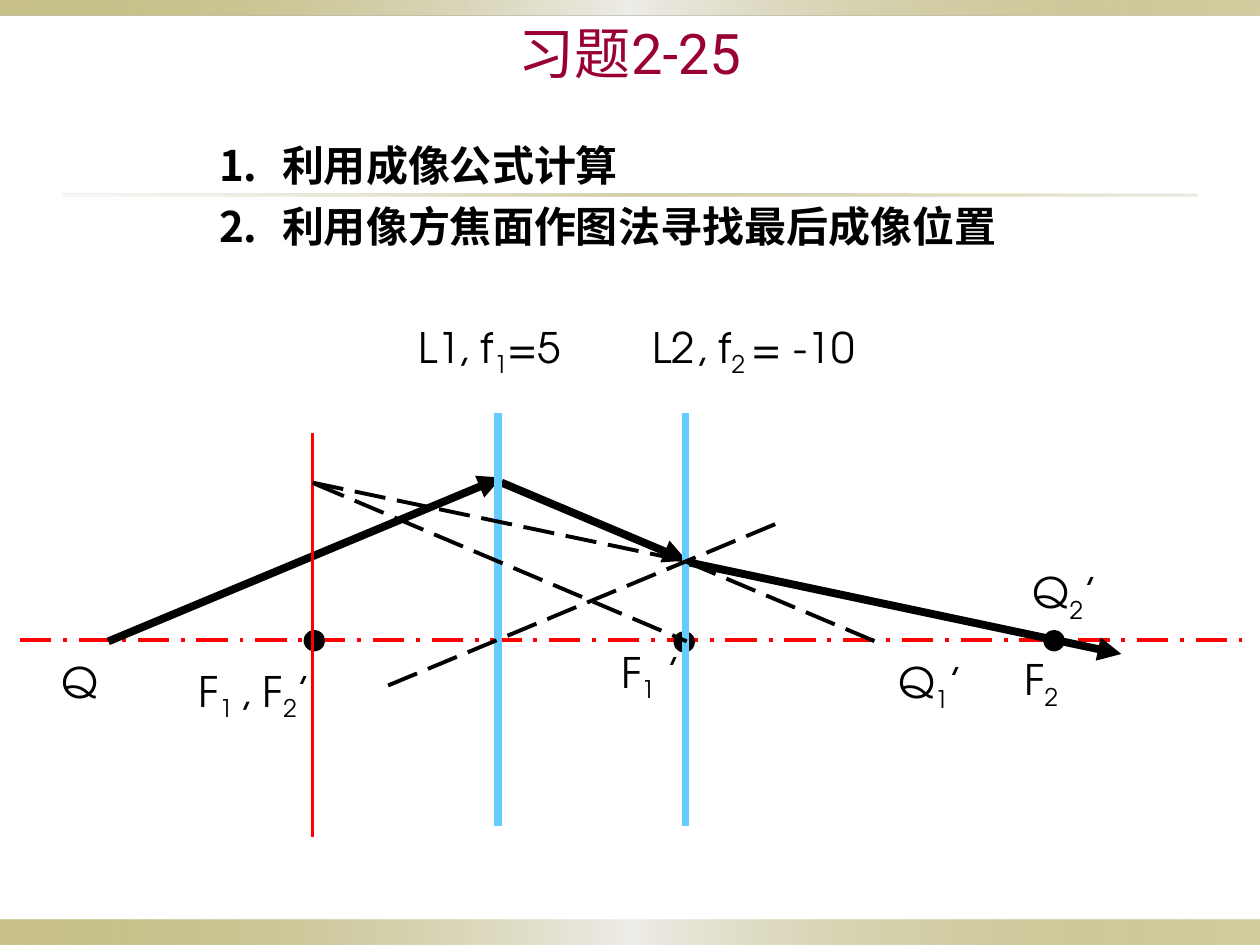
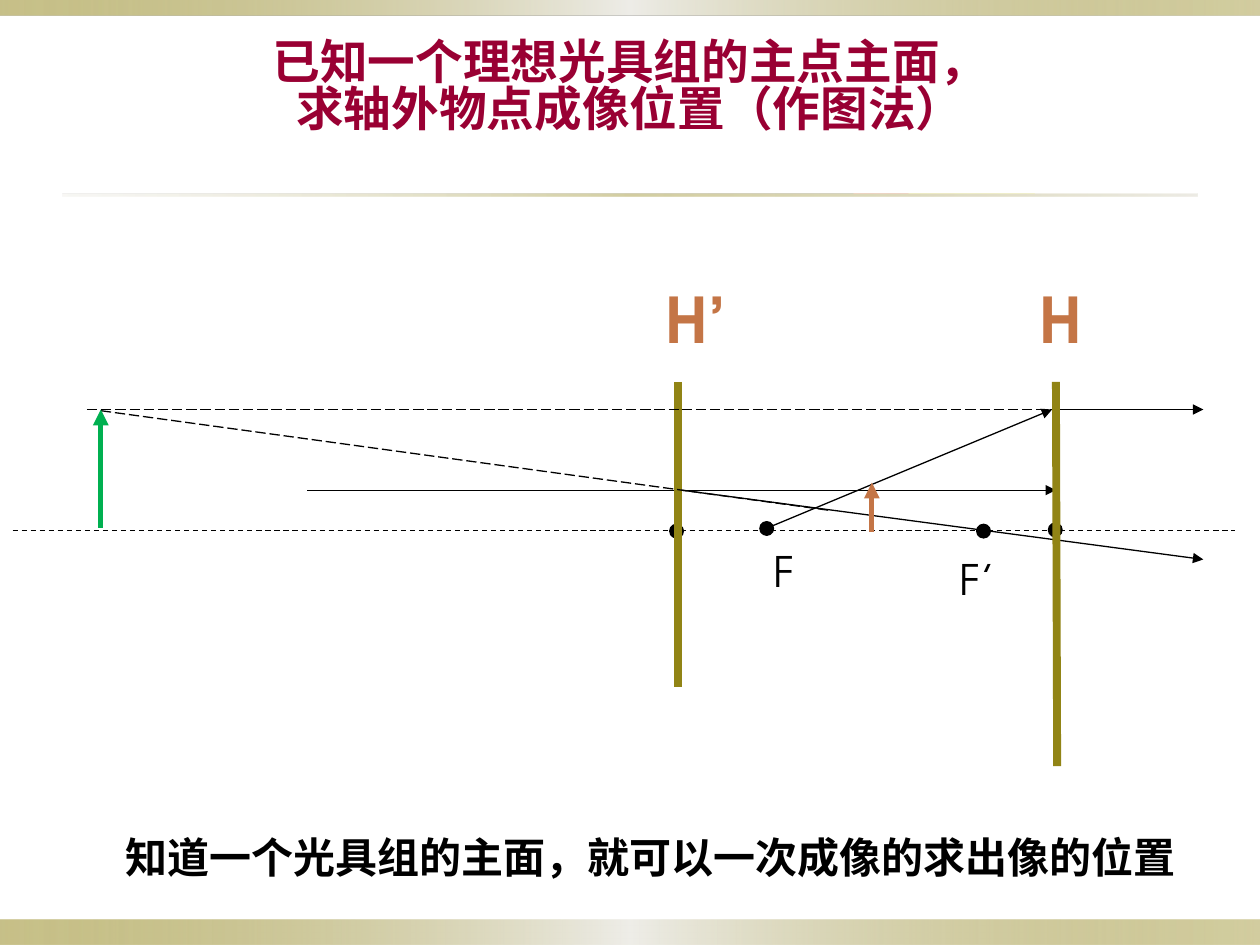
from pptx import Presentation
from pptx.dml.color import RGBColor
from pptx.enum.dml import MSO_LINE
from pptx.enum.shapes import MSO_CONNECTOR, MSO_SHAPE
from pptx.enum.text import MSO_ANCHOR, MSO_AUTO_SIZE, PP_ALIGN
from pptx.oxml.ns import qn
from pptx.util import Pt
from lxml import etree

RECTANGLE, OVAL = MSO_SHAPE.RECTANGLE, MSO_SHAPE.OVAL
STRAIGHT = MSO_CONNECTOR.STRAIGHT
DASH, LONG_DASH, LONG_DASH_DOT = MSO_LINE.DASH, MSO_LINE.LONG_DASH, MSO_LINE.LONG_DASH_DOT
LEFT, CENTER = PP_ALIGN.LEFT, PP_ALIGN.CENTER
TOP, MIDDLE = MSO_ANCHOR.TOP, MSO_ANCHOR.MIDDLE
GROW, FIXED = MSO_AUTO_SIZE.SHAPE_TO_FIT_TEXT, MSO_AUTO_SIZE.NONE

BLACK, RED, CRIMSON = "000000", "FF0000", "990033"
SKY, OLIVE, COPPER, GREEN = "66CCFF", "918415", "C47546", "00B050"
LABEL_FONT, BODY_FONT = "TeX Gyre Adventor", "Arial"
# Gradient stops: position, colour, opacity (all in percent)
BAND = [(0, OLIVE, 50), (50, "EEEDE8", 100), (100, OLIVE, 40)]
RULE = [(0, "DCD9CC", 20), (50, OLIVE, 40), (100, "DCD9CC", 50)]


def color(value):
    return RGBColor.from_string(value)


class Slides:
    """Holds the deck, its common style and the current page."""

    def __init__(self):
        self.deck = Presentation()
        self.deck.slide_width, self.deck.slide_height = Pt(720), Pt(540)
        self.page = None

    def new_page(self):
        self.page = self.deck.slides.add_slide(self.deck.slide_layouts[6])
        self.band(0, 525.6, 720, 14.4, BAND)
        self.band(0, 0, 720, 8.64, BAND)
        self.band(36, 110.9, 648, 1.44, RULE)

    def shape(self, kind, left, top, width, height):
        shape = self.page.shapes.add_shape(kind, Pt(left), Pt(top), Pt(width), Pt(height))
        shape.shadow.inherit = False
        return shape

    def band(self, left, top, width, height, stops):
        band = self.shape(RECTANGLE, left, top, width, height)
        band.line.fill.background()
        band.fill.gradient()
        band.fill.gradient_angle = 0
        stop_list = band._element.spPr.find(qn("a:gradFill")).find(qn("a:gsLst"))
        stop_list.clear()
        for position, value, opacity in stops:
            stop = etree.SubElement(stop_list, qn("a:gs"), pos=str(position * 1000))
            tint = etree.SubElement(stop, qn("a:srgbClr"), val=value)
            etree.SubElement(tint, qn("a:alpha"), val=str(opacity * 1000))

    def dot(self, x, y, outline):
        dot = self.shape(OVAL, x - 3.9, y - 3.9, 7.8, 7.8)
        dot.fill.solid()
        dot.fill.fore_color.rgb = color(BLACK)
        dot.line.color.rgb = color(BLACK)
        dot.line.width = Pt(outline)

    def line(self, x1, y1, x2, y2, value=BLACK, width=0.75, dash=None, arrow=False):
        line = self.page.shapes.add_connector(STRAIGHT, Pt(x1), Pt(y1), Pt(x2), Pt(y2))
        line.line.color.rgb = color(value)
        line.line.width = Pt(width)
        if dash is not None:
            line.line.dash_style = dash
        properties = line._element.spPr
        if arrow:
            etree.SubElement(properties.find(qn("a:ln")), qn("a:tailEnd"), type="triangle")
        etree.SubElement(properties, qn("a:effectLst"))

    def text(self, left, top, width, height, paras, font=BODY_FONT, size=24, value=BLACK,
             bold=True, align=LEFT, anchor=TOP, grow=GROW, spacing=None, numbered=False):
        """Each paragraph is a list of spans; every second span is a subscript."""
        box = self.page.shapes.add_textbox(Pt(left), Pt(top), Pt(width), Pt(height))
        frame = box.text_frame
        frame.word_wrap = True
        frame.auto_size = grow
        frame.vertical_anchor = anchor
        for number, spans in enumerate(paras):
            para = frame.add_paragraph() if number else frame.paragraphs[0]
            para.alignment = align
            if spacing:
                para.line_spacing = spacing
            if numbered:
                para.space_before = Pt(6 if number else 0)
                properties = para._p.get_or_add_pPr()
                properties.set("marL", str(Pt(36)))
                properties.set("indent", str(-Pt(36)))
                etree.SubElement(properties, qn("a:buFont"), typeface="+mj-lt")
                etree.SubElement(properties, qn("a:buAutoNum"), type="arabicPeriod")
            for index, words in enumerate(spans):
                span = para.add_run()
                span.text = words
                span.font.name = font
                span.font.size = Pt(size)
                span.font.bold = bold
                span.font.color.rgb = color(value)
                if index % 2:
                    span._r.get_or_add_rPr().set("baseline", "-25000")

    def title(self, top, lines, **style):
        self.text(0, top, 720, 59.76, [[words] for words in lines], value=CRIMSON,
                  align=CENTER, anchor=MIDDLE, grow=FIXED, **style)

    def label(self, left, top, width, *spans):
        self.text(left, top, width, 36, [spans], font=LABEL_FONT, bold=False)


def two_lens_page(slides):
    slides.new_page()
    slides.title(0, ["习题2-25"], font="Roboto", size=32, bold=False)

    # Optical axis and focal points
    axis = 365.8
    slides.line(11.5, axis, 709.9, axis, RED, 2.25, LONG_DASH_DOT)
    for x, y in ((391, 366.8), (179.6, 366.1), (602.3, 366.1)):
        slides.dot(x, y, 4.5)

    # Rays, focal plane and lenses
    slides.line(388.8, 320.4, 640.8, 373.7, width=4.5, arrow=True)
    slides.line(61.9, 366.5, 286.6, 272.9, width=4.5, arrow=True)
    slides.line(178.6, 247.7, 178.6, 478.1, RED, 2.25)
    slides.line(286.6, 275.8, 392.4, 320.4, width=4.5, arrow=True)
    for lens in (284.4, 391.7):
        slides.line(lens, 236.2, lens, 472.3, SKY, 4.5)

    # Construction lines
    for ends in ((221.8, 391.7, 446.4, 298.1), (392.4, 321.1, 503.3, 367.9),
                 (180, 276.5, 392.4, 366.5), (178.6, 275.8, 391, 320.4)):
        slides.line(*ends, width=2.25, dash=LONG_DASH)

    # Labels
    slides.label(231.8, 180, 145.4, "L1, f", "1", "=5")
    slides.label(365.8, 180, 145.4, "L2, f", "2 ", "= -10")
    slides.label(347.8, 365.8, 51.8, "F", "1", " ’")
    slides.label(106.6, 376.6, 151.9, "F", "1 ", ", F", "2", "’")
    slides.label(578.2, 370.1, 151.9, "F", "2")
    slides.label(28.1, 371.5, 61.9, "Q")
    slides.label(506.2, 371.5, 61.9, "Q", "1", "’")
    slides.label(583.2, 320.4, 61.9, "Q", "2", "’")

    # Steps
    slides.text(118.1, 76.3, 523.4, 79.9,
                [["利用成像公式计算"], ["利用像方焦面作图法寻找最后成像位置"]], numbered=True)


def principal_plane_page(slides):
    slides.new_page()

    # Optical axis and cardinal points
    axis, object_top, ray = 303.1, 234, 280.1
    slides.line(7.2, axis, 705.6, axis, dash=DASH)
    for x, y in ((386.6, 303.5), (603, 302.8), (562, 303.5), (438.1, 302)):
        slides.dot(x, y, 0.75)

    # Rays
    for ends in ((389.5, ray, 687.6, 319.7), (175.7, ray, 603.4, ray),
                 (438.5, 301.7, 601.2, object_top), (602.6, object_top, 687.6, object_top)):
        slides.line(*ends, arrow=True)

    # Principal planes
    slides.line(387.4, 218.2, 387.4, 392.4, OLIVE, 4.5)
    slides.line(603.4, 218.2, 604.1, 437.8, OLIVE, 4.5)
    for left, name in ((373, "H’"), (586.8, "H")):
        slides.text(left, 157, 56.2, 51.1, [[name]], font=LABEL_FONT, size=36, value=COPPER)

    # Ray extensions
    for ends in ((389.5, object_top, 601.2, object_top), (57.6, 234.7, 473.8, 291.6),
                 (49.7, object_top, 389.5, object_top)):
        slides.line(*ends, dash=LONG_DASH)

    # Object and image arrows
    slides.line(498.2, 303.8, 498.2, 275.8, COPPER, 3, arrow=True)
    slides.line(57.6, 301.7, 57.6, object_top, GREEN, 3, arrow=True)

    # Words
    slides.label(541.4, 312.5, 151.9, "F’")
    slides.label(434.9, 308.2, 151.9, "F")
    slides.text(32.4, 471.6, 679, 36,
                [["知道一个光具组的主面，就可以一次成像的求出像的位置"]], align=CENTER)
    slides.title(20.9, ["已知一个理想光具组的主点主面，", "求轴外物点成像位置（作图法）"],
                 size=27.2, spacing=0.83)


def main():
    slides = Slides()
    two_lens_page(slides)
    principal_plane_page(slides)
    slides.deck.save("out.pptx")


if __name__ == "__main__":
    main()
